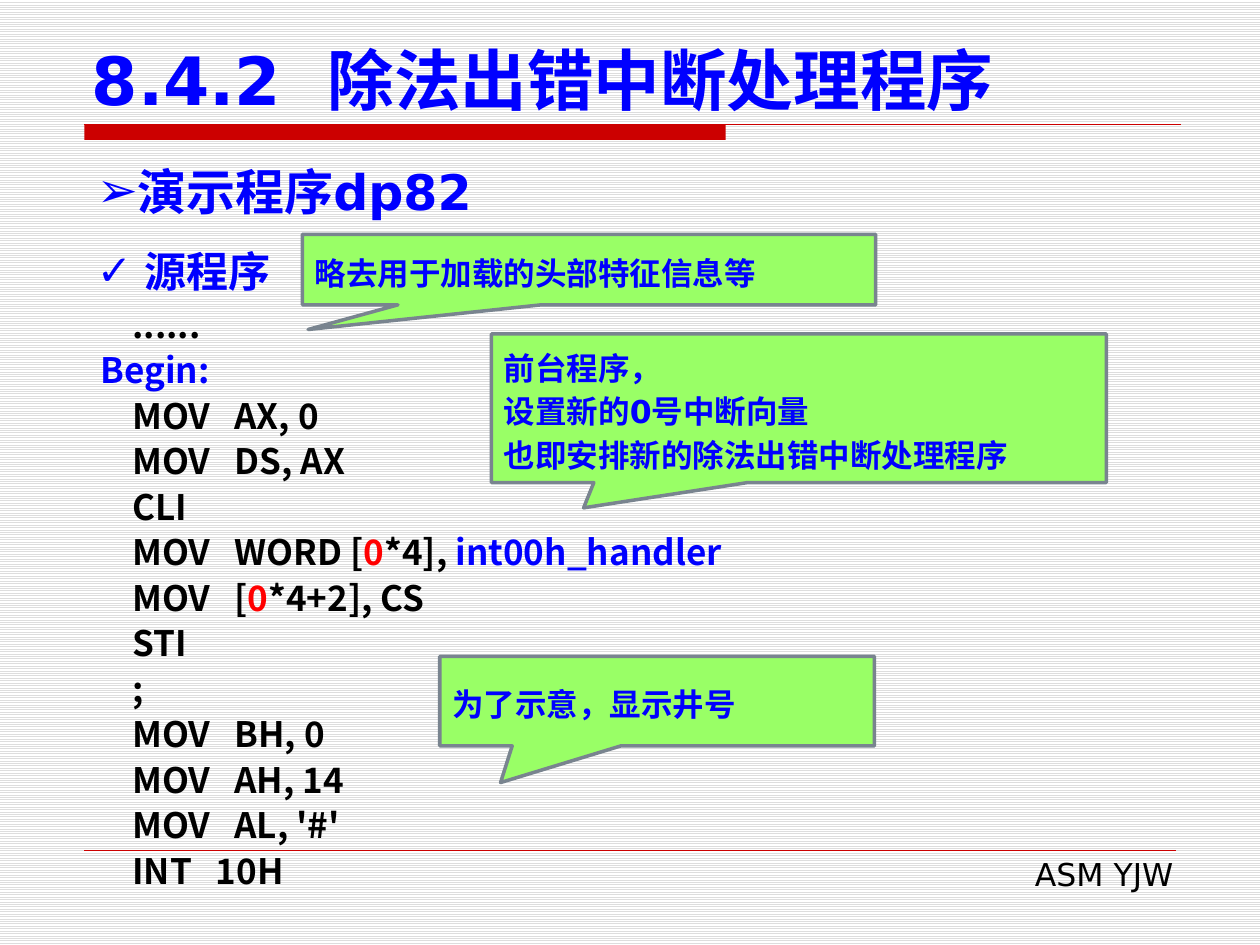
from lxml.etree import SubElement
from pptx import Presentation
from pptx.dml.color import RGBColor
from pptx.enum.dml import MSO_PATTERN
from pptx.enum.shapes import MSO_CONNECTOR, MSO_SHAPE
from pptx.enum.text import MSO_ANCHOR as ANCHOR, PP_ALIGN as ALIGN
from pptx.oxml.ns import qn
from pptx.util import Inches, Pt

COLORS = {"blue": "0000FF", "black": "000000", "red": "FF0000",
          "rule": "CC0000", "callout": "99FF66", "border": "79848F",
          "stripe": "DDDDDD", "paper": "FFFFFF"}
SANS, CJK = "DejaVu Sans", "Noto Sans CJK SC"


def rgb(name):
    return RGBColor.from_string(COLORS[name])


class SlideBuilder:
    def __init__(self, prs):
        self.slide = prs.slides.add_slide(prs.slide_layouts[5])
        self.shapes = self.slide.shapes

    def background(self):
        fill = self.slide.background.fill
        fill.patterned()
        fill.pattern = MSO_PATTERN.LIGHT_HORIZONTAL
        fill.fore_color.rgb = rgb("stripe")
        fill.back_color.rgb = rgb("paper")

    def set_text(self, frame, lines, size, face=SANS, bold=True, spacing=None,
                 align=ALIGN.LEFT, anchor=ANCHOR.TOP, bullet=None, indent=0):
        """Each line is a list of (text, color) runs."""
        frame.word_wrap = True
        frame.vertical_anchor = anchor
        for i, runs in enumerate(lines):
            para = frame.paragraphs[0] if i == 0 else frame.add_paragraph()
            para.alignment = align
            if spacing:
                para.line_spacing = Pt(spacing)
            if bullet:
                props = para._p.get_or_add_pPr()
                props.set("marL", str(Inches(indent)))
                props.set("indent", str(-Inches(indent)))
                SubElement(props, qn("a:buFont"), typeface=SANS)
                SubElement(props, qn("a:buChar"), char=bullet)
            for text, color in runs:
                run = para.add_run()
                run.text = text
                run.font.size = Pt(size)
                run.font.bold = bold
                run.font.color.rgb = rgb(color)
                run.font.name = face
                SubElement(run._r.get_or_add_rPr(), qn("a:ea"), typeface=CJK)

    def title(self, text, box, size):
        title = self.shapes.title
        title.left, title.top, title.width, title.height = map(Inches, box)
        self.set_text(title.text_frame, [[(text, "blue")]], size,
                      anchor=ANCHOR.BOTTOM)

    def text(self, lines, box, size, **style):
        frame = self.shapes.add_textbox(*map(Inches, box)).text_frame
        self.set_text(frame, lines, size, **style)

    def block(self, kind, box, fill):
        shape = self.shapes.add_shape(kind, *map(Inches, box))
        shape.shadow.inherit = False
        shape.fill.solid()
        shape.fill.fore_color.rgb = rgb(fill)
        return shape

    def bar(self, box):
        self.block(MSO_SHAPE.RECTANGLE, box, "rule").line.fill.background()

    def rule(self, left, right, y, width):
        line = self.shapes.add_connector(
            MSO_CONNECTOR.STRAIGHT, *map(Inches, (left, y, right, y)))
        line.line.color.rgb = rgb("rule")
        line.line.width = Pt(width)
        SubElement(line._element.spPr, qn("a:effectLst"))

    def callout(self, lines, box, tip):
        shape = self.block(MSO_SHAPE.RECTANGULAR_CALLOUT, box, "callout")
        shape.adjustments[0], shape.adjustments[1] = tip
        shape.line.color.rgb = rgb("border")
        shape.line.width = Pt(2)
        self.set_text(shape.text_frame, [[(line, "blue")] for line in lines],
                      18, spacing=25, anchor=ANCHOR.MIDDLE)


def main():
    prs = Presentation()
    prs.slide_width, prs.slide_height = Inches(10), Inches(7.5)
    page = SlideBuilder(prs)
    left = 0.67

    # Background, rules and footer
    page.background()
    page.bar((left, 0.99, 5.09, 0.12))
    page.rule(left, 9.37, 0.99, 0.75)
    page.rule(left, 9.33, 6.75, 0.25)
    page.text([[("ASM YJW", "black")]], (3.82, 6.74, 5.59, 0.4), 18,
              bold=False, align=ALIGN.RIGHT)

    # Headings
    page.title("8.4.2  除法出错中断处理程序", (0.63, 0.33, 8.75, 0.66), 38)
    page.text([[("演示程序dp82", "blue")]], (left, 1.23, 8.66, 0.57), 28,
              align=ALIGN.JUSTIFY, bullet="➢")
    page.text([[("源程序", "blue")]], (left, 1.8, 8.66, 0.54), 24, face=CJK,
              spacing=36, bullet="✓", indent=0.38)

    # Assembly listing
    def code(text):
        return [(text, "black")]

    zero = ("0", "red")
    listing = [
        code("    ......"),
        [("Begin:", "blue")],
        code("    MOV   AX, 0"),
        code("    MOV   DS, AX"),
        code("    CLI"),
        [("    MOV   WORD [", "black"), zero, ("*4], ", "black"),
         ("int00h_handler", "blue")],
        [("    MOV   [", "black"), zero, ("*4+2], CS", "black")],
        code("    STI"),
        code("    ;"),
        code("    MOV   BH, 0"),
        code("    MOV   AH, 14"),
        code("    MOV   AL, '#'"),
        code("    INT   10H"),
    ]
    page.text(listing, (0.7, 2.33, 8.71, 4.84), 20, face=CJK, spacing=26)

    # Callouts explaining the listing
    page.callout(["略去用于加载的头部特征信息等"],
                 (2.4, 1.86, 4.55, 0.56), (-0.49, 0.85))
    page.callout(["前台程序，", "设置新的0号中断向量",
                  "也即安排新的除法出错中断处理程序"],
                 (3.9, 2.65, 4.88, 1.18), (-0.35, 0.67))
    page.callout(["为了示意，显示井号"],
                 (3.49, 5.21, 3.45, 0.71), (-0.36, 0.91))

    prs.save("out.pptx")


if __name__ == "__main__":
    main()
